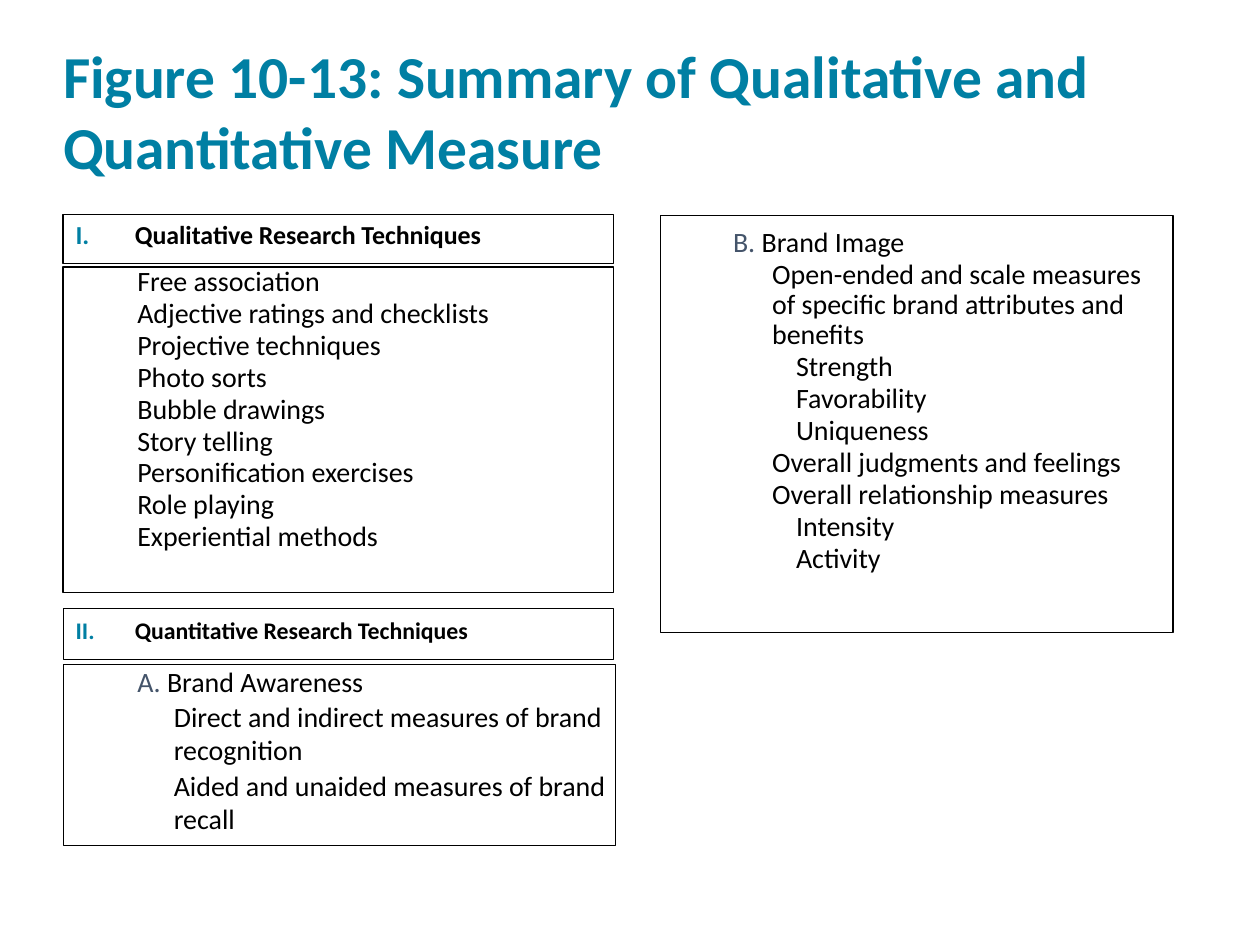
from dataclasses import dataclass
from typing import NamedTuple

from lxml.etree import SubElement
from pptx import Presentation
from pptx.dml.color import RGBColor
from pptx.enum.text import MSO_ANCHOR as Anchor, MSO_AUTO_SIZE as AutoSize, PP_ALIGN as Align
from pptx.oxml.ns import qn
from pptx.util import Inches, Pt


@dataclass(frozen=True)
class Theme:
    """Hold the colours, font and type sizes."""
    font: str = "Calibri"
    accent: str = "007FA3"
    label: str = "44546A"
    ink: str = "000000"
    title_size: float = 34
    body_size: float = 16
    first_heading_size: float = 14.8
    second_heading_size: float = 13.6


class Line(NamedTuple):
    """Describe one list line with its level and optional letter."""
    level: int
    text: str
    letter: str = ""


class SlideBuilder:
    """Draw the elements of one slide in a shared theme."""

    def __init__(self, slide, theme):
        self.slide = slide
        self.theme = theme

    def style_run(self, run, size, color, bold=False):
        """Format one run."""
        run.font.name = self.theme.font
        run.font.size = Pt(size)
        run.font.bold = bold
        run.font.color.rgb = RGBColor.from_string(color)

    def place(self, shape, bounds, inset, anchor=Anchor.TOP):
        """Position a shape and set up its text frame."""
        shape.left, shape.top, shape.width, shape.height = map(Inches, bounds)
        frame = shape.text_frame
        frame.word_wrap = True
        frame.auto_size = AutoSize.NONE
        frame.vertical_anchor = anchor
        frame.margin_left = frame.margin_right = Inches(inset)
        frame.margin_top = frame.margin_bottom = Inches(inset)
        return frame

    def outline(self, shape, width):
        """Draw a thin dark border."""
        shape.line.color.rgb = RGBColor.from_string(self.theme.ink)
        shape.line.width = Pt(width)

    def layout_paragraph(self, paragraph, indent, spacing, number=None):
        """Set spacing, indents and the optional roman number."""
        paragraph.alignment = Align.LEFT
        paragraph.line_spacing = spacing
        paragraph.space_before = Pt(1)
        paragraph.space_after = Pt(0)
        properties = paragraph._p.get_or_add_pPr()
        left, first = indent
        properties.set("marL", str(Inches(left)))
        properties.set("indent", str(Inches(first)))
        if number is None:
            SubElement(properties, qn("a:buNone"))
            return
        color = SubElement(properties, qn("a:buClr"))
        SubElement(color, qn("a:srgbClr"), val=self.theme.accent)
        SubElement(properties, qn("a:buFont"), typeface=self.theme.font)
        SubElement(properties, qn("a:buAutoNum"), type="romanUcPeriod", startAt=str(number))

    def title(self, text, bounds):
        """Fill the title placeholder."""
        frame = self.place(self.slide.shapes.title, bounds, 0, Anchor.BOTTOM)
        frame.text = text
        paragraph = frame.paragraphs[0]
        paragraph.alignment = Align.LEFT
        self.style_run(paragraph.runs[0], self.theme.title_size, self.theme.accent, True)

    def heading(self, shape, text, bounds, number, size, spacing, border):
        """Fill a numbered section heading."""
        frame = self.place(shape, bounds, 0.1)
        self.outline(shape, border)
        frame.text = text
        paragraph = frame.paragraphs[0]
        self.layout_paragraph(paragraph, (0.47, -0.47), spacing, number)
        self.style_run(paragraph.runs[0], size, self.theme.ink, True)

    def outline_list(self, shape, lines, bounds, indents, inset=0, spacing=0.9, border=0.75):
        """Fill a bordered list with indented levels."""
        frame = self.place(shape, bounds, inset)
        self.outline(shape, border)
        frame.text = "\n".join(line.letter or line.text for line in lines)
        for paragraph, line in zip(frame.paragraphs, lines):
            paragraph.level = line.level
            self.layout_paragraph(paragraph, indents[line.level], spacing)
            if line.letter:
                paragraph.add_run().text = f" {line.text}"
            for run in paragraph.runs:
                self.style_run(run, self.theme.body_size, self.theme.ink)
            if line.letter:
                self.style_run(paragraph.runs[0], self.theme.body_size, self.theme.label)


TECHNIQUES = [Line(1, text) for text in (
    "Free association", "Adjective ratings and checklists", "Projective techniques",
    "Photo sorts", "Bubble drawings", "Story telling", "Personification exercises",
    "Role playing", "Experiential methods")]
AWARENESS = [
    Line(1, "Brand Awareness", "A."),
    Line(2, "Direct and indirect measures of brand recognition"),
    Line(2, "Aided and unaided measures of brand recall"),
]
IMAGE = [
    Line(1, "Brand Image", "B."),
    Line(2, "Open-ended and scale measures of specific brand attributes and benefits"),
    Line(3, "Strength"),
    Line(3, "Favorability"),
    Line(3, "Uniqueness"),
    Line(2, "Overall judgments and feelings"),
    Line(2, "Overall relationship measures"),
    Line(3, "Intensity"),
    Line(3, "Activity"),
]

presentation = Presentation()
presentation.slide_width, presentation.slide_height = Inches(10), Inches(7.5)
slide = presentation.slides.add_slide(presentation.slide_layouts.get_by_name("Comparison"))
theme = Theme()
builder = SlideBuilder(slide, theme)
first_heading, first_list, second_heading, second_list = (
    slide.placeholders[index] for index in (1, 2, 3, 4))
image_box = slide.shapes.add_textbox(0, 0, 0, 0)

builder.title("Figure 10-13: Summary of Qualitative and Quantitative Measure", (0.5, 0.24, 9, 1.2))
builder.heading(first_heading, "Qualitative Research Techniques", (0.5, 1.7, 4.37, 0.39),
                1, theme.first_heading_size, 0.7, 0.75)
builder.outline_list(first_list, TECHNIQUES, (0.5, 2.12, 4.37, 2.58), {1: (0.59, 0)})
builder.heading(second_heading, "Quantitative Research Techniques", (0.5, 4.83, 4.37, 0.4),
                2, theme.second_heading_size, 0.8, 0.25)
builder.outline_list(second_list, AWARENESS, (0.5, 5.27, 4.38, 1.44),
                     {1: (0.59, 0), 2: (0.88, 0)}, spacing=1.0, border=0.25)
builder.outline_list(image_box, IMAGE, (5.24, 1.71, 4.07, 3.31),
                     {1: (0.85, -0.37), 2: (0.79, 0), 3: (0.98, 0)}, inset=0.1)

presentation.save("out.pptx")
